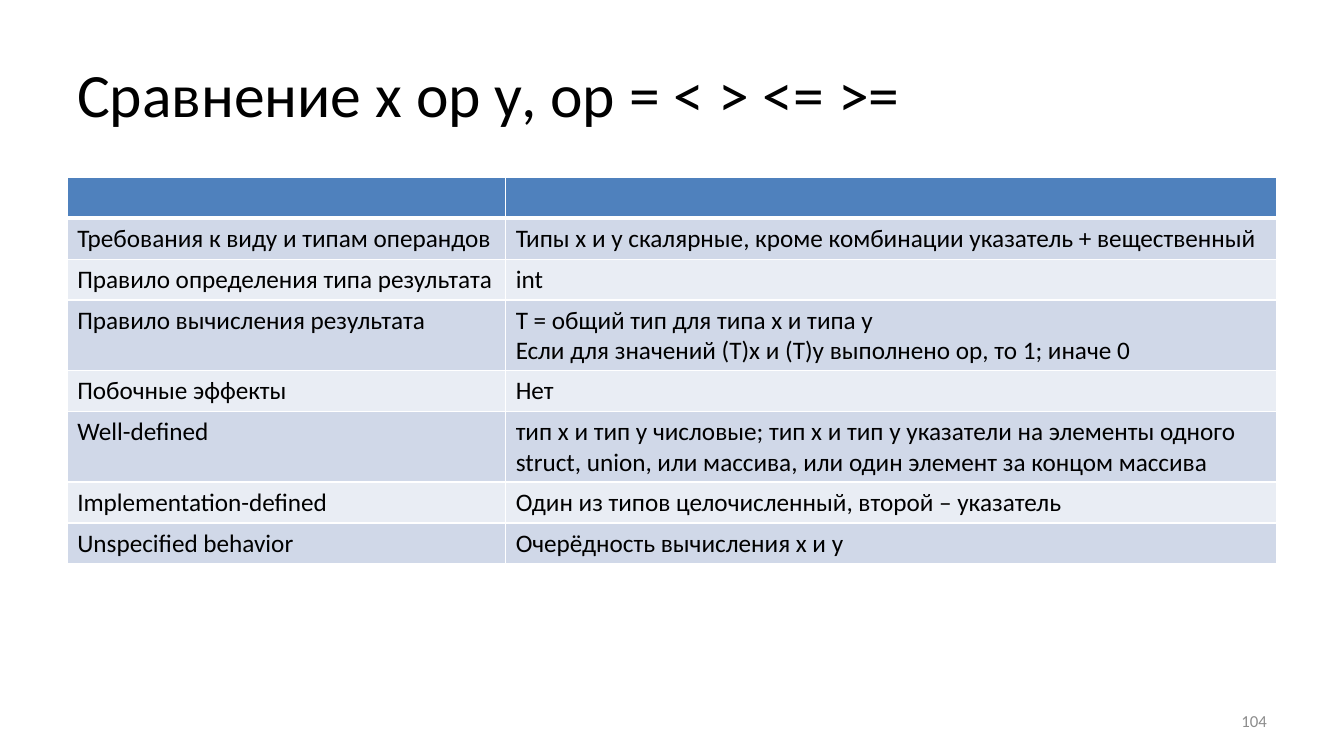
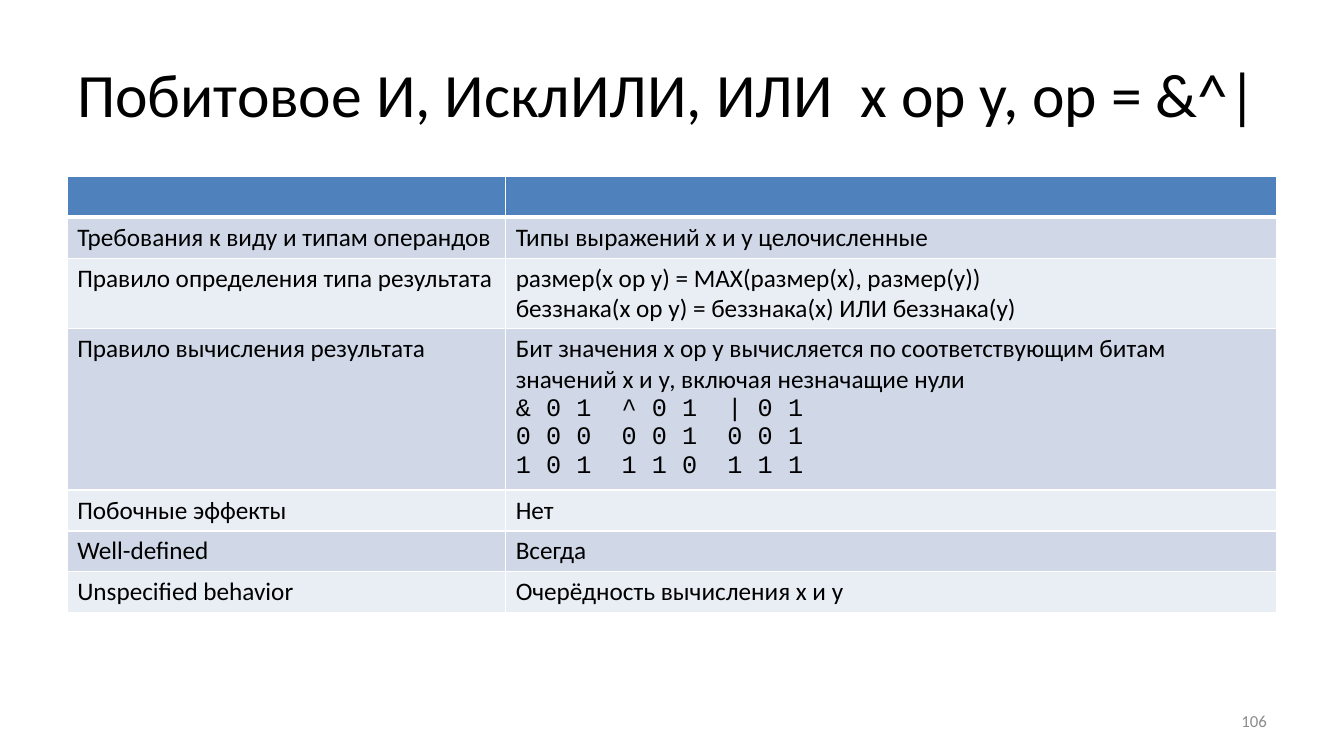
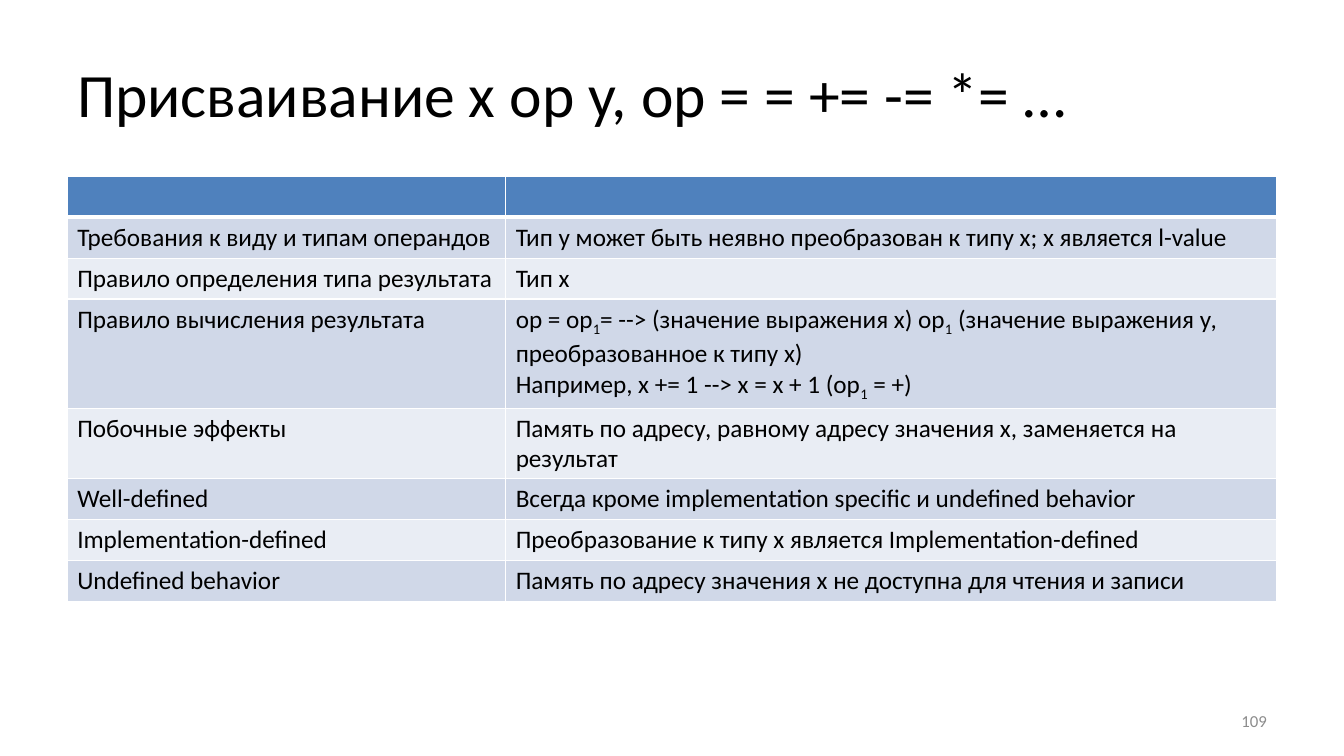
from lxml import etree
from pptx import Presentation, util as u
from pptx.dml.color import RGBColor
from pptx.enum import text
from pptx.oxml.ns import qn

BLACK = RGBColor(0x00, 0x00, 0x00)
GREY = RGBColor(0x8C, 0x8C, 0x8C)
WHITE = RGBColor(0xFF, 0xFF, 0xFF)
HEADER = RGBColor(0x4F, 0x81, 0xBD)
BANDS = (RGBColor(0xE9, 0xED, 0xF4), RGBColor(0xD0, 0xD8, 0xE8))

FONT, CODE_FONT = "Calibri", "Courier New"
WIDTH, HEIGHT = u.Inches(13.33), u.Inches(7.5)
MARGIN, CONTENT = 0.05, 0.9
LABEL_SHARE = 4.35 / 12
ROW_HEIGHT = u.Pt(29.2)
SUBSCRIPT_ONE = "₁"

OPERANDS = "Требования к виду и типам операндов"
RESULT_TYPE = "Правило определения типа результата"
RESULT_VALUE = "Правило вычисления результата"
SIDE_EFFECTS = "Побочные эффекты"
EVALUATION_ORDER = ("Unspecified behavior", ["Очерёдность вычисления х и у"])

BIT_TABLES = [
    "& 0 1  ^ 0 1  | 0 1",
    "0 0 0  0 0 1  0 0 1",
    "1 0 1  1 1 0  1 1 1",
]

OPERATIONS = [
    ("Сравнение х ор у, ор = < > <= >=", 104, 1.76, 3.83, [
        (OPERANDS, ["Типы х и у скалярные, кроме комбинации указатель + вещественный"]),
        (RESULT_TYPE, ["int"]),
        (RESULT_VALUE, ["Т = общий тип для типа х и типа у",
                        "Если для значений (Т)х и (Т)у выполнено ор, то 1; иначе 0"]),
        (SIDE_EFFECTS, ["Нет"]),
        ("Well-defined", ["тип х и тип у числовые; тип х и тип у указатели на элементы одного "
                          "struct, union, или массива, или один элемент за концом массива"]),
        ("Implementation-defined", ["Один из типов целочисленный, второй – указатель"]),
        EVALUATION_ORDER,
    ]),
    ("Побитовое И, ИсклИЛИ, ИЛИ  x ор y, ор = &^|", 106, 1.75, 4.33, [
        (OPERANDS, ["Типы выражений х и у целочисленные"]),
        (RESULT_TYPE, ["размер(х ор у) = МАХ(размер(х), размер(у))",
                       "беззнака(х ор у) = беззнака(х) ИЛИ беззнака(у)"]),
        (RESULT_VALUE, ["Бит значения х ор у вычисляется по соответствующим битам "
                        "значений х и у, включая незначащие нули", *BIT_TABLES]),
        (SIDE_EFFECTS, ["Нет"]),
        ("Well-defined", ["Всегда"]),
        EVALUATION_ORDER,
    ]),
    ("Присваивание x op y, op = = += -= *= …", 109, 1.75, 4.13, [
        (OPERANDS, ["Тип у может быть неявно преобразован к типу х; х является l-value"]),
        (RESULT_TYPE, ["Тип х"]),
        (RESULT_VALUE, ["ор = ор₁= --> (значение выражения х) ор₁ "
                        "(значение выражения у, преобразованное к типу х)",
                        "Например, x += 1 --> x = x + 1 (op₁ = +)"]),
        (SIDE_EFFECTS, ["Память по адресу, равному адресу значения х, заменяется на результат"]),
        ("Well-defined", ["Всегда кроме implementation specific и undefined behavior"]),
        ("Implementation-defined", ["Преобразование к типу x является Implementation-defined"]),
        ("Undefined behavior", ["Память по адресу значения х не доступна для чтения и записи"]),
    ]),
]


def style(paragraph, size, color=BLACK, font=FONT):
    """Set the font of a whole paragraph."""
    paragraph.font.size = u.Pt(size)
    paragraph.font.name = font
    paragraph.font.color.rgb = color


def add_line(slide, box, line, size, color=BLACK, align=text.PP_ALIGN.LEFT):
    """Place one vertically centred line of text in a box."""
    frame = slide.shapes.add_textbox(*box).text_frame
    frame.word_wrap = True
    frame.vertical_anchor = text.MSO_ANCHOR.MIDDLE
    paragraph = frame.paragraphs[0]
    paragraph.text = line
    paragraph.alignment = align
    style(paragraph, size, color)


def set_borders(cell, top, bottom):
    """Draw white borders of the given top and bottom widths around a cell."""
    properties = cell._tc.get_or_add_tcPr()
    for side, points in (("L", 1), ("R", 1), ("T", top), ("B", bottom)):
        edge = etree.SubElement(properties, qn(f"a:ln{side}"), w=str(u.Pt(points)))
        fill = etree.SubElement(edge, qn("a:solidFill"))
        etree.SubElement(fill, qn("a:srgbClr"), val=str(WHITE))


def fill_cell(cell, lines):
    """Write paragraphs into a cell, lowering each subscript one."""
    for index, line in enumerate(lines):
        frame = cell.text_frame
        paragraph = frame.add_paragraph() if index else frame.paragraphs[0]
        for part, piece in enumerate(line.split(SUBSCRIPT_ONE)):
            if part:
                subscript = paragraph.add_run()
                subscript.text = "1"
                subscript._r.get_or_add_rPr().set("baseline", "-25000")
            paragraph.add_run().text = piece
        style(paragraph, 18, font=CODE_FONT if line in BIT_TABLES else FONT)


def add_rules(slide, box, rules):
    """Place the two-column table of rules under an empty header row."""
    frame = slide.shapes.add_table(len(rules) + 1, 2, *box)
    table = frame.table
    label_width = int(box[2] * LABEL_SHARE)
    table.columns[0].width = label_width
    table.columns[1].width = box[2] - label_width
    for index, (label, lines) in enumerate([("", []), *rules]):
        table.rows[index].height = ROW_HEIGHT
        for cell, content in zip(table.rows[index].cells, ([label] if label else [], lines)):
            set_borders(cell, 3 if index == 1 else 1, 1 if index else 3)
            cell.fill.solid()
            cell.fill.fore_color.rgb = BANDS[index % 2] if index else HEADER
            fill_cell(cell, content)
    frame.height = box[3]


def add_operation(deck, title, number, top, height, rules):
    """Build one slide: title, table of rules and slide number."""
    slide = deck.slides.add_slide(deck.slide_layouts[6])
    left, width = int(WIDTH * MARGIN), int(WIDTH * CONTENT)
    add_line(slide, (left, int(HEIGHT * 0.04), width, HEIGHT // 6), title, 44)
    add_rules(slide, (left, u.Inches(top), width, u.Inches(height)), rules)
    number_width = int(WIDTH * 0.23)
    number_box = (left + width - number_width, u.Inches(6.95), number_width, u.Inches(0.4))
    add_line(slide, number_box, str(number), 12, GREY, text.PP_ALIGN.RIGHT)


def main():
    """Build and save the deck."""
    deck = Presentation()
    deck.slide_width, deck.slide_height = WIDTH, HEIGHT
    for operation in OPERATIONS:
        add_operation(deck, *operation)
    deck.save("out.pptx")


if __name__ == "__main__":
    main()
